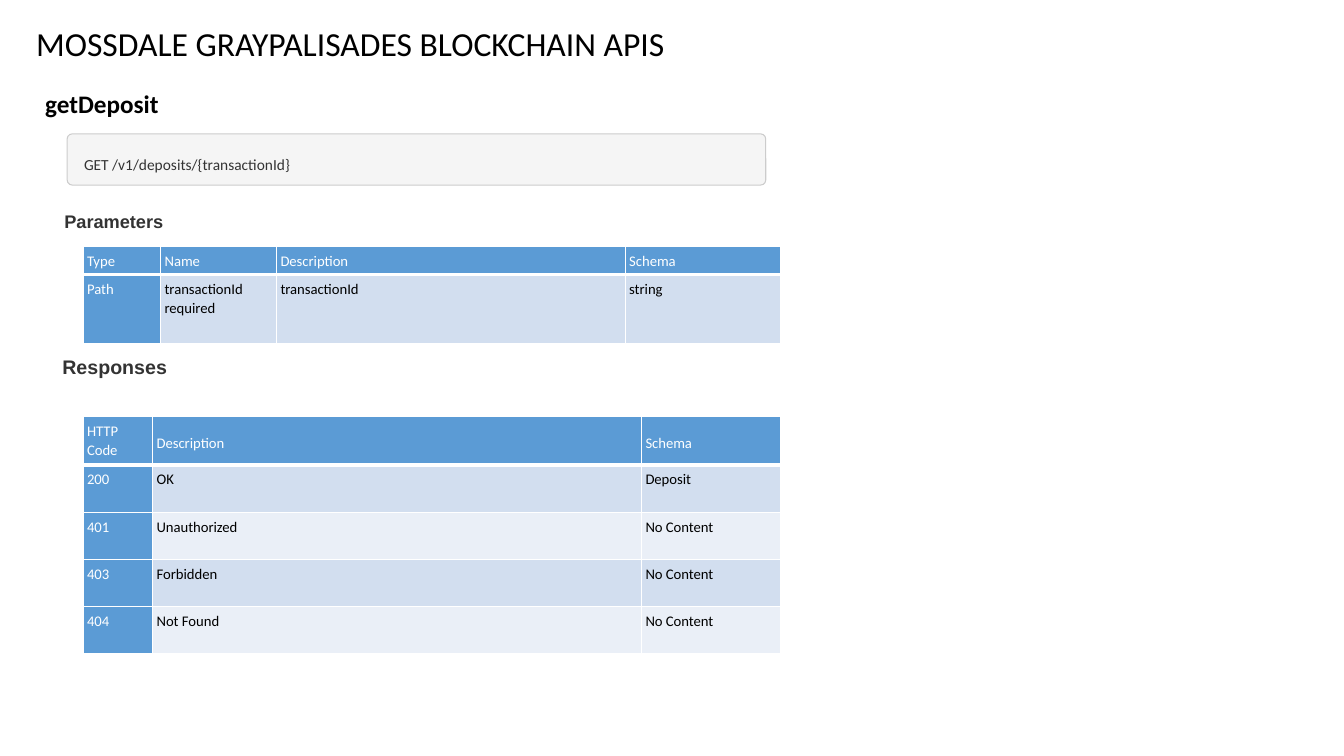
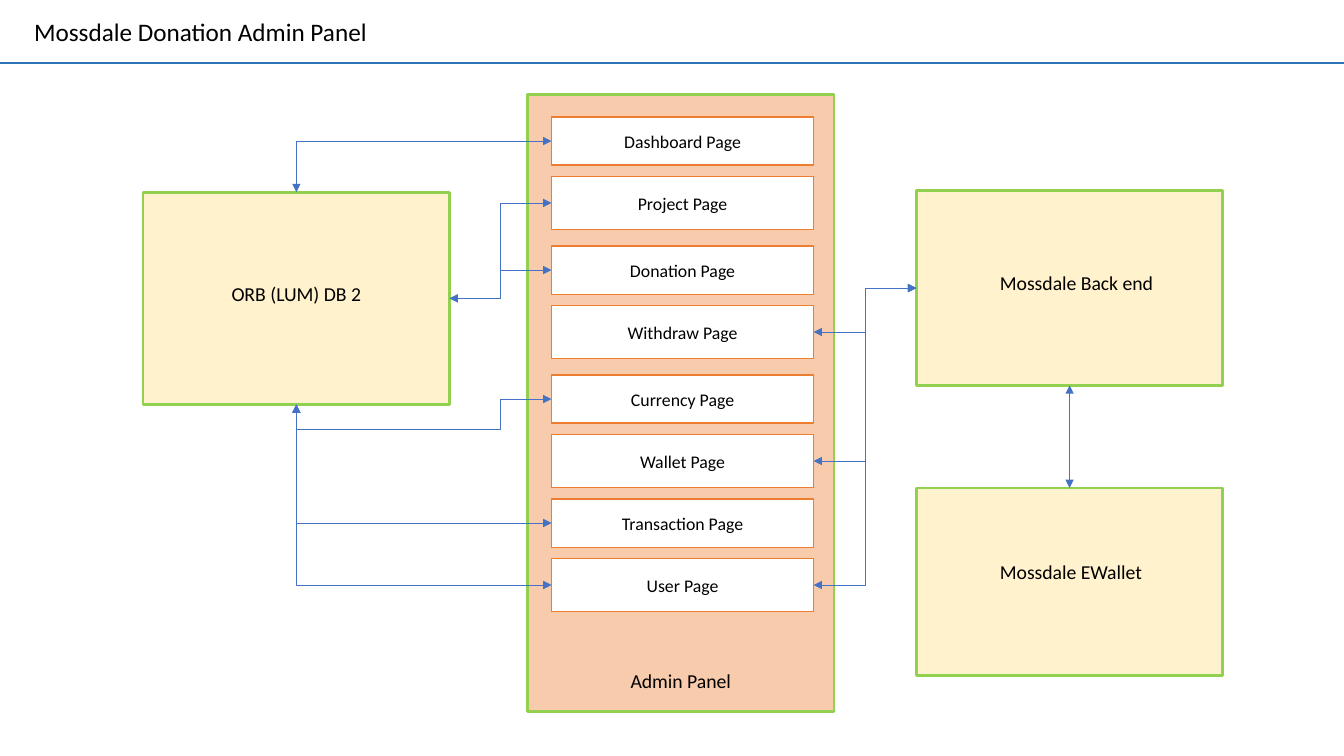
from dataclasses import dataclass

from lxml import etree
from pptx import Presentation
from pptx.dml.color import RGBColor
from pptx.enum.shapes import MSO_CONNECTOR, MSO_SHAPE
from pptx.enum.text import MSO_ANCHOR, PP_ALIGN
from pptx.oxml.ns import qn
from pptx.util import Pt

STRAIGHT, ELBOW = MSO_CONNECTOR.STRAIGHT, MSO_CONNECTOR.ELBOW
RECTANGLE, ROUNDED = MSO_SHAPE.RECTANGLE, MSO_SHAPE.ROUNDED_RECTANGLE
TOP_ANCHOR, MIDDLE, BOTTOM_ANCHOR = MSO_ANCHOR.TOP, MSO_ANCHOR.MIDDLE, MSO_ANCHOR.BOTTOM
LEFT_ALIGN, CENTER = PP_ALIGN.LEFT, PP_ALIGN.CENTER

# Connection sites of a rectangle
TOP, LEFT, BOTTOM, RIGHT = range(4)
SLIDE_WIDTH, SLIDE_HEIGHT = 960, 540


@dataclass(frozen=True)
class Theme:
    # Colours
    black: str = "000000"
    white: str = "FFFFFF"
    gray_text: str = "333333"
    code_fill: str = "F5F5F5"
    code_line: str = "CCCCCC"
    table_header: str = "5B9BD5"
    table_bands: tuple = ("D2DEEF", "EAEFF7")
    rule: str = "2E75B6"
    arrow: str = "4472C4"
    system_fill: str = "FFF2CC"
    system_line: str = "92D050"
    panel_fill: str = "F8CBAD"
    page_line: str = "ED7D31"
    # Fonts and type sizes
    body_font: str = "Calibri"
    heading_font: str = "Arial"
    large_title: float = 24
    title: float = 18
    responses: float = 14
    parameters: float = 13
    code: float = 11
    cell: float = 10.5
    system: float = 14.1
    page: float = 12.7


THEME = Theme()


def rgb(color):
    return RGBColor.from_string(color)


def write_text(frame, text, *, size, color=THEME.black, font=THEME.body_font, bold=False,
               align=LEFT_ALIGN, anchor=TOP_ANCHOR, spacing=1.0, inset=(7.2, 3.6, 7.2, 3.6)):
    """Fill a text frame with one formatted paragraph; inset is left, top, right, bottom."""
    frame.word_wrap = True
    frame.vertical_anchor = anchor
    frame.margin_left, frame.margin_top, frame.margin_right, frame.margin_bottom = map(Pt, inset)
    paragraph = frame.paragraphs[0]
    paragraph.alignment = align
    paragraph.line_spacing = spacing
    run = paragraph.add_run()
    run.text = text
    run.font.name, run.font.size, run.font.bold = font, Pt(size), bold
    run.font.color.rgb = rgb(color)


def add_label(slide, text, left, top, width, height, **text_format):
    box = slide.shapes.add_textbox(Pt(left), Pt(top), Pt(width), Pt(height))
    write_text(box.text_frame, text, **text_format)


def add_box(slide, text, left, top, width, height, *, fill, line, line_width,
            kind=RECTANGLE, **text_format):
    shape = slide.shapes.add_shape(kind, Pt(left), Pt(top), Pt(width), Pt(height))
    shape.shadow.inherit = False
    shape.fill.solid()
    shape.fill.fore_color.rgb = rgb(fill)
    shape.line.color.rgb = rgb(line)
    shape.line.width = Pt(line_width)
    write_text(shape.text_frame, text, **text_format)
    return shape


def add_line(slide, kind, color, width, start=(0, 0), end=(0, 0)):
    connector = slide.shapes.add_connector(kind, *map(Pt, start + end))
    connector.line.color.rgb = rgb(color)
    connector.line.width = Pt(width)
    etree.SubElement(connector._element.spPr, qn("a:effectLst"))
    return connector


def add_double_arrow(slide, start, end, kind=ELBOW, preset=None, adjustments=()):
    """Join two (shape, site) pairs with an arrow that has a head at each end."""
    connector = add_line(slide, kind, THEME.arrow, 0.5)
    connector.begin_connect(*start)
    connector.end_connect(*end)
    properties = connector._element.spPr
    outline = properties.find(qn("a:ln"))
    for tag in ("a:headEnd", "a:tailEnd"):
        etree.SubElement(outline, qn(tag), type="triangle")
    geometry = properties.find(qn("a:prstGeom"))
    if preset:
        geometry.set("prst", preset)
    for number, value in enumerate(adjustments, 1):
        etree.SubElement(geometry.find(qn("a:avLst")), qn("a:gd"),
                         name=f"adj{number}", fmla=f"val {value}")


def set_cell_borders(cell, bottom):
    properties = cell._tc.get_or_add_tcPr()
    widths = {"a:lnL": 1, "a:lnR": 1, "a:lnT": 1, "a:lnB": bottom}
    for position, (tag, width) in enumerate(widths.items()):
        border = etree.Element(qn(tag), w=str(Pt(width)))
        fill = etree.SubElement(border, qn("a:solidFill"))
        etree.SubElement(fill, qn("a:srgbClr"), val=THEME.white)
        properties.insert(position, border)


def add_api_table(slide, top, widths, heights, rows, header_anchor=TOP_ANCHOR):
    table = slide.shapes.add_table(len(rows), len(widths), Pt(59.3), Pt(top),
                                   Pt(sum(widths)), Pt(sum(heights))).table
    table.horz_banding = False
    for column, width in zip(table.columns, widths):
        column.width = Pt(width)
    for row_index, (height, values) in enumerate(zip(heights, rows)):
        table.rows[row_index].height = Pt(height)
        for column_index, value in enumerate(values):
            cell = table.cell(row_index, column_index)
            is_header = row_index == 0 or column_index == 0
            band = THEME.table_bands[(row_index - 1) % 2]
            cell.fill.solid()
            cell.fill.fore_color.rgb = rgb(THEME.table_header if is_header else band)
            set_cell_borders(cell, bottom=3 if row_index == 0 else 1)
            write_text(cell.text_frame, value, size=THEME.cell, spacing=1.07,
                       color=THEME.white if is_header else THEME.black)
            # Cells keep their own margins and anchor
            cell.margin_left, cell.margin_top = Pt(2.9), Pt(3.6)
            cell.margin_right, cell.margin_bottom = Pt(5.8), Pt(0)
            header_middle = row_index == 0 and column_index > 0
            cell.vertical_anchor = header_anchor if header_middle else TOP_ANCHOR


def add_title(slide, text, left, top, size):
    add_label(slide, text, left, top, 640, size * 1.5, size=size)


def build_api_slide(slide):
    add_title(slide, "MOSSDALE GRAYPALISADES BLOCKCHAIN APIS", 18.7, 13, THEME.large_title)
    add_label(slide, "getDeposit", 25.2, 58.3, 134.6, 31, size=THEME.title, bold=True, spacing=1.07)

    # Request line
    panel = add_box(slide, "GET /v1/deposits/{transactionId}", 48, 95.6, 499, 36.6,
                    kind=ROUNDED, fill=THEME.code_fill, line=THEME.code_line, line_width=0.75,
                    size=THEME.code, color=THEME.gray_text, spacing=1.07, inset=(11, 13, 0, 0))
    panel.adjustments[0] = 0.1

    # Parameters and responses
    heading = {"font": THEME.heading_font, "color": THEME.gray_text, "bold": True}
    add_label(slide, "Parameters", 38.9, 146.2, 417.6, 23, size=THEME.parameters,
              anchor=MIDDLE, **heading)
    add_api_table(slide, 175.9, (55.4, 82.8, 249.1, 111), (20.2, 49.7), [
        ("Type", "Name", "Description", "Schema"),
        ("Path", "transactionId required", "transactionId", "string"),
    ])
    add_label(slide, "Responses", 37.4, 249.1, 110, 25, size=THEME.responses,
              spacing=1.07, **heading)
    add_api_table(slide, 297.4, (49.7, 349.2, 99.4), (34.6,) + (33.8,) * 4, [
        ("HTTP Code", "Description", "Schema"),
        ("200", "OK", "Deposit"),
        ("401", "Unauthorized", "No Content"),
        ("403", "Forbidden", "No Content"),
        ("404", "Not Found", "No Content"),
    ], header_anchor=MIDDLE)


def add_system(slide, text, left, top, height, *, fill=THEME.system_fill,
               anchor=MIDDLE, inset=(0, 0, 0, 0)):
    return add_box(slide, text, left, top, 219, height, fill=fill, line=THEME.system_line,
                   line_width=2, size=THEME.system, align=CENTER, anchor=anchor, inset=inset)


def add_pages(slide):
    """Stack the pages in pairs of a low and a tall box."""
    pairs = [
        (83.5, "Dashboard", "Project"),
        (175.7, "Donation", "Withdraw"),
        (267.8, "Currency", "Wallet"),
        (356.4, "Transaction", "User"),
    ]
    low, tall, gap = 34.5, 38, 8
    pages = {}
    for pair_top, first, second in pairs:
        for name, top, height in ((first, pair_top, low), (second, pair_top + low + gap, tall)):
            pages[name] = add_box(slide, f"{name} Page", 394, top, 187.2, height,
                                  fill=THEME.white, line=THEME.page_line, line_width=1,
                                  size=THEME.page, align=CENTER, anchor=MIDDLE,
                                  inset=(5, 3, 5, 3))
    return pages


def build_panel_slide(slide):
    add_line(slide, STRAIGHT, THEME.rule, 1.5, (0, 44.8), (SLIDE_WIDTH, 44.8))
    add_title(slide, "Mossdale Donation Admin Panel", 17.3, 8, THEME.title)

    # Systems and pages
    database = add_system(slide, "ORB (LUM) DB 2", 102.2, 137.3, 151.7, inset=(0, 0, 0, 6.5))
    add_system(slide, "Admin Panel", 376.8, 67.5, 440.5, fill=THEME.panel_fill,
               anchor=BOTTOM_ANCHOR, inset=(0, 0, 0, 13.7))
    back_end = add_system(slide, "Mossdale Back end", 654.5, 136.3, 139, inset=(10, 0, 0, 7.5))
    wallet = add_system(slide, "Mossdale EWallet", 654.5, 348.6, 134, inset=(2, 0, 0, 14.5))
    pages = add_pages(slide)

    # Database links
    for name, side in (("Dashboard", TOP), ("Transaction", BOTTOM), ("User", BOTTOM)):
        add_double_arrow(slide, (pages[name], LEFT), (database, side), preset="bentConnector2")
    for name in ("Project", "Donation"):
        add_double_arrow(slide, (database, RIGHT), (pages[name], LEFT))
    add_double_arrow(slide, (pages["Currency"], LEFT), (database, BOTTOM),
                     preset="bentConnector4", adjustments=(20000, 550000))

    # Back-end links
    for name in ("Withdraw", "Wallet", "User"):
        add_double_arrow(slide, (pages[name], RIGHT), (back_end, LEFT))
    add_double_arrow(slide, (back_end, BOTTOM), (wallet, TOP), kind=STRAIGHT)


def main():
    presentation = Presentation()
    presentation.slide_width, presentation.slide_height = Pt(SLIDE_WIDTH), Pt(SLIDE_HEIGHT)
    blank_layout = presentation.slide_layouts[6]
    for build in (build_api_slide, build_panel_slide):
        build(presentation.slides.add_slide(blank_layout))
    presentation.save("out.pptx")


if __name__ == "__main__":
    main()
